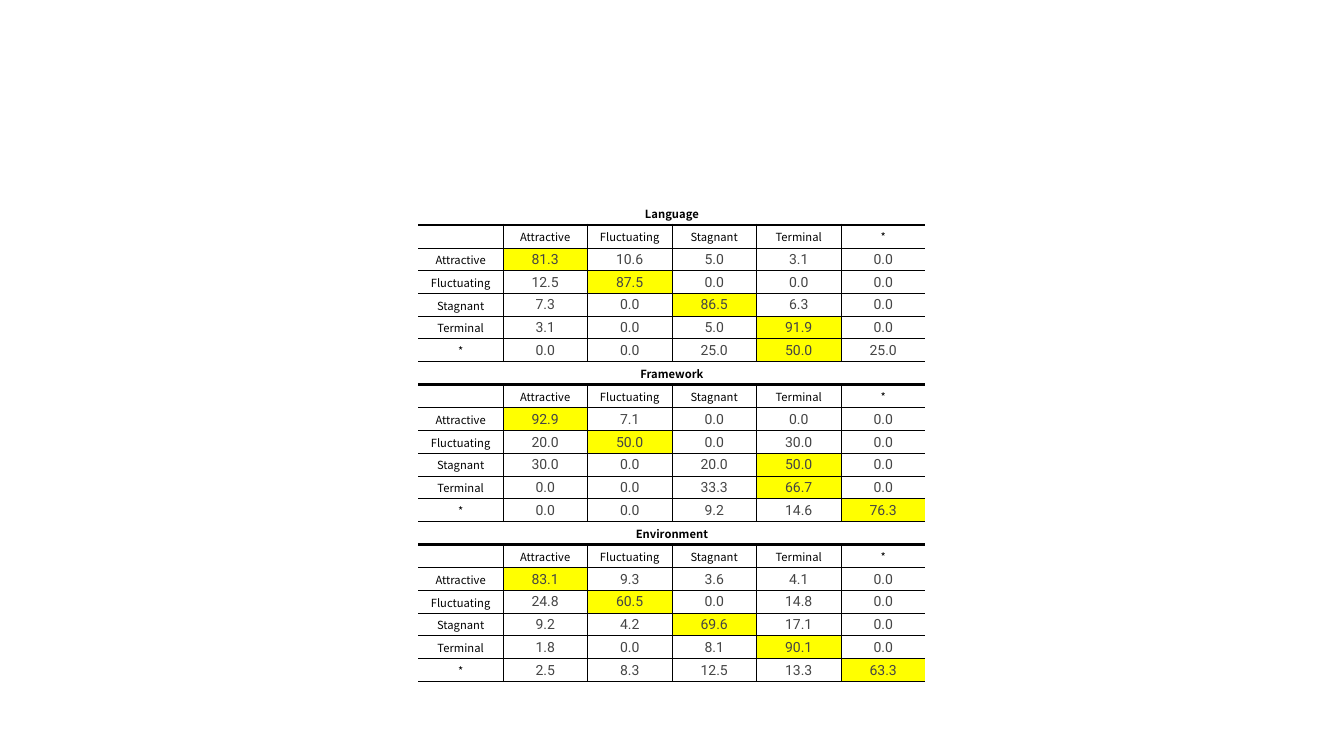
from dataclasses import dataclass

from lxml import etree
from pptx import Presentation
from pptx.dml.color import RGBColor
from pptx.enum.text import MSO_ANCHOR, PP_ALIGN
from pptx.oxml.ns import qn
from pptx.util import Inches, Pt

CENTER = PP_ALIGN.CENTER
MIDDLE = MSO_ANCHOR.MIDDLE
NO_TABLE_STYLE = "{2D5ABB26-0587-4C30-8999-92F81FD0307C}"
BLANK_LAYOUT = 6


@dataclass(frozen=True)
class Theme:
    """Colours, fonts, type sizes and line widths of the slide."""
    black: str = "000000"
    value: str = "454545"
    highlight: str = "FFFF00"
    label_font: str = "Noto Sans CJK JP"
    value_font: str = "Roboto"
    label_size: float = 8
    value_size: float = 10
    thin: float = 0.5
    thick: float = 2


THEME = Theme()
STATES = ["Attractive", "Fluctuating", "Stagnant", "Terminal", "*"]
HIGHLIGHT_FROM = 50
TRANSITIONS = {
    "Language": [
        [81.3, 10.6, 5.0, 3.1, 0.0],
        [12.5, 87.5, 0.0, 0.0, 0.0],
        [7.3, 0.0, 86.5, 6.3, 0.0],
        [3.1, 0.0, 5.0, 91.9, 0.0],
        [0.0, 0.0, 25.0, 50.0, 25.0],
    ],
    "Framework": [
        [92.9, 7.1, 0.0, 0.0, 0.0],
        [20.0, 50.0, 0.0, 30.0, 0.0],
        [30.0, 0.0, 20.0, 50.0, 0.0],
        [0.0, 0.0, 33.3, 66.7, 0.0],
        [0.0, 0.0, 9.2, 14.6, 76.3],
    ],
    "Environment": [
        [83.1, 9.3, 3.6, 4.1, 0.0],
        [24.8, 60.5, 0.0, 14.8, 0.0],
        [9.2, 4.2, 69.6, 17.1, 0.0],
        [1.8, 0.0, 8.1, 90.1, 0.0],
        [2.5, 8.3, 12.5, 13.3, 63.3],
    ],
}
COLUMNS = len(STATES) + 1
SECTION_ROWS = len(STATES) + 2
HEADING_HEIGHT = 0.23


def set_borders(cell, left=0, right=0, top=0, bottom=0):
    """Draw the cell's four borders; a width of zero hides a border."""
    properties = cell._tc.get_or_add_tcPr()
    for side, width in zip("LRTB", (left, right, top, bottom)):
        border = etree.SubElement(properties, qn(f"a:ln{side}"), w=str(Pt(width)))
        if width:
            paint = etree.SubElement(border, qn("a:solidFill"))
            etree.SubElement(paint, qn("a:srgbClr"), val=THEME.black)
        else:
            etree.SubElement(border, qn("a:noFill"))


def set_text(cell, text, is_value=False, bold=False):
    """Write centred text in the label or the value style."""
    size = THEME.value_size if is_value else THEME.label_size
    cell.margin_left = cell.margin_right = cell.margin_top = Inches(0.01)
    cell.margin_bottom = 0
    cell.vertical_anchor = MIDDLE
    paragraph = cell.text_frame.paragraphs[0]
    paragraph.text = text
    paragraph.alignment = CENTER
    for run in paragraph.runs:
        run.font.name = THEME.value_font if is_value else THEME.label_font
        run.font.size = Pt(size)
        run.font.bold = bold
        run.font.color.rgb = RGBColor.from_string(THEME.value if is_value else THEME.black)
    etree.SubElement(paragraph._p, qn("a:endParaRPr"), sz=str(int(size * 100)))


def set_fill(cell, colour=None):
    """Fill the cell with a colour, or leave it clear."""
    if colour:
        cell.fill.solid()
        cell.fill.fore_color.rgb = RGBColor.from_string(colour)
    else:
        cell.fill.background()


def add_section(table, first_row, name, matrix):
    """Write one transition matrix with its title and header rows."""
    for column in range(COLUMNS):
        title = table.cell(first_row, column)
        set_text(title, "" if column else name, bold=True)
        set_borders(title, top=THEME.thin if first_row else 0, bottom=THEME.thick)
        set_fill(title)
    table.cell(first_row, 0).merge(table.cell(first_row, COLUMNS - 1))

    body = [["", *STATES]] + [[state, *values] for state, values in zip(STATES, matrix)]
    for offset, entries in enumerate(body):
        for column, entry in enumerate(entries):
            cell = table.cell(first_row + 1 + offset, column)
            is_value = isinstance(entry, float)
            set_text(cell, f"{entry:.1f}" if is_value else entry, is_value)
            set_borders(
                cell,
                left=THEME.thin if column else 0,
                right=THEME.thin if column < COLUMNS - 1 else 0,
                top=THEME.thin if offset else THEME.thick,
                bottom=THEME.thin,
            )
            set_fill(cell, THEME.highlight if is_value and entry >= HIGHLIGHT_FROM else None)


def add_transition_table(slide, left, top, width, height):
    """Place the stacked transition matrices in the given box, in inches."""
    table = slide.shapes.add_table(
        SECTION_ROWS * len(TRANSITIONS), COLUMNS,
        Inches(left), Inches(top), Inches(width), Inches(height),
    ).table
    table.first_row = table.horz_banding = False
    table._tbl.tblPr.find(qn("a:tableStyleId")).text = NO_TABLE_STYLE
    value_height = (height / len(TRANSITIONS) - 2 * HEADING_HEIGHT) / len(STATES)
    for column in table.columns:
        column.width = Inches(width / COLUMNS)
    for index, row in enumerate(table.rows):
        row.height = Inches(HEADING_HEIGHT if index % SECTION_ROWS < 2 else value_height)
    for index, (name, matrix) in enumerate(TRANSITIONS.items()):
        add_section(table, index * SECTION_ROWS, name, matrix)


def main():
    """Build and save the slide."""
    presentation = Presentation()
    presentation.slide_width = Inches(13.33)
    presentation.slide_height = Inches(7.5)
    slide = presentation.slides.add_slide(presentation.slide_layouts[BLANK_LAYOUT])
    add_transition_table(slide, left=4.15, top=2, width=5.03, height=4.76)
    presentation.save("out.pptx")


if __name__ == "__main__":
    main()
